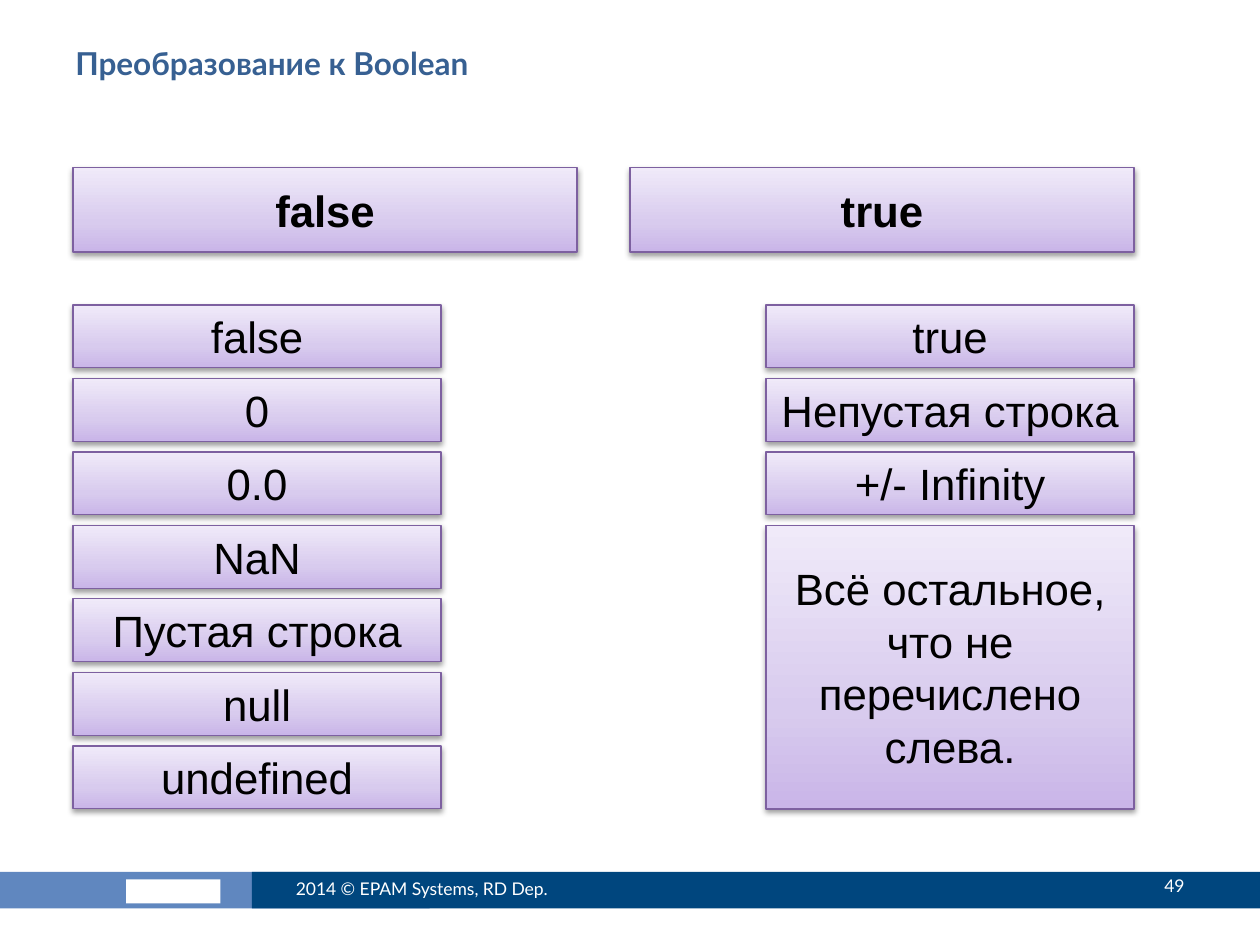
from dataclasses import dataclass

from pptx import Presentation
from pptx.dml.color import RGBColor
from pptx.enum.shapes import MSO_SHAPE
from pptx.enum.text import MSO_ANCHOR, PP_ALIGN
from pptx.oxml import parse_xml
from pptx.oxml.ns import nsdecls, qn
from pptx.util import Inches, Pt


@dataclass(frozen=True)
class Theme:
    title: str = "376092"
    white: str = "FFFFFF"
    ink: str = "000000"
    band_light: str = "6087BF"
    band_dark: str = "00467E"
    box_line: str = "7D60A0"
    box_stops: tuple = ((0, "C9B5E8"), (35, "D8CBEE"), (100, "F0EAF9"))
    heading_font: str = "Lato"
    box_font: str = "Arial"
    title_size: int = 18
    footer_size: int = 10
    box_size: int = 25


THEME = Theme()
LEFT, RIGHT = 0.58, 9
HEADER_TOP, HEADER_W, HEADER_H = 1.33, 4, 0.67
ROWS_TOP, ROW_W, ROW_H = 2.42, 2.92, 0.5
ROW_PITCH = 7 / 12

FALSE_VALUES = ["false", "0", "0.0", "NaN", "Пустая строка", "null", "undefined"]
TRUE_VALUES = ["true", "Непустая строка", "+/- Infinity"]
TRUE_REST = "Всё остальное, что не перечислено слева."


def style_text(tf, text, font, size, color, align, bold=False):
    tf.word_wrap = True
    tf.text = text
    p = tf.paragraphs[0]
    p.alignment = align
    r = p.runs[0]
    r.font.name = font
    r.font.size = Pt(size)
    r.font.bold = bold
    r.font.color.rgb = RGBColor.from_string(color)


def add_label(s, text, x, y, w, h, size, color, anchor=MSO_ANCHOR.MIDDLE,
              align=PP_ALIGN.LEFT, bold=False):
    tf = s.shapes.add_textbox(Inches(x), Inches(y), Inches(w), Inches(h)).text_frame
    style_text(tf, text, THEME.heading_font, size, color, align, bold)
    tf.vertical_anchor = anchor


def add_rect(s, x, y, w, h):
    sp = s.shapes.add_shape(MSO_SHAPE.RECTANGLE, Inches(x), Inches(y), Inches(w), Inches(h))
    sp.shadow.inherit = False
    return sp


def add_band(s, x, y, w, h, color):
    sp = add_rect(s, x, y, w, h)
    sp.fill.solid()
    sp.fill.fore_color.rgb = RGBColor.from_string(color)
    sp.line.fill.background()


def add_gradient(sp):
    stops = "".join(
        f'<a:gs pos="{pos * 1000}"><a:srgbClr val="{color}"/></a:gs>'
        for pos, color in THEME.box_stops
    )
    grad = parse_xml(
        f'<a:gradFill {nsdecls("a")} rotWithShape="1"><a:gsLst>{stops}</a:gsLst>'
        '<a:lin ang="16200000" scaled="0"/></a:gradFill>'
    )
    sp._element.spPr.find(qn("a:prstGeom")).addnext(grad)


def add_shadow(sp):
    sp._element.spPr.find(qn("a:effectLst")).append(parse_xml(
        f'<a:outerShdw {nsdecls("a")} blurRad="40000" dist="20000" dir="5400000" '
        f'rotWithShape="0"><a:srgbClr val="{THEME.ink}"><a:alpha val="38000"/>'
        '</a:srgbClr></a:outerShdw>'
    ))


def add_box(s, text, x, y, w, h, bold=False):
    sp = add_rect(s, x, y, w, h)
    add_gradient(sp)
    add_shadow(sp)
    sp.line.color.rgb = RGBColor.from_string(THEME.box_line)
    sp.line.width = Pt(0.75)
    tf = sp.text_frame
    style_text(tf, text, THEME.box_font, THEME.box_size, THEME.ink, PP_ALIGN.CENTER, bold)
    tf.vertical_anchor = MSO_ANCHOR.MIDDLE


def add_column(s, values, x):
    for i, value in enumerate(values):
        add_box(s, value, x, ROWS_TOP + i * ROW_PITCH, ROW_W, ROW_H)


def add_footer(s):
    add_band(s, -0.02, 6.92, 3.43, 0.29, THEME.band_light)
    add_band(s, 1, 6.98, 0.75, 0.19, THEME.white)
    add_band(s, 2, 6.92, 8, 0.29, THEME.band_dark)
    add_label(s, "2014 © EPAM Systems, RD Dep.", 2.25, 6.85, 2.67, 0.4,
              THEME.footer_size, THEME.white)
    add_label(s, "49", 8.42, 6.83, 1.08, 0.4, THEME.footer_size, THEME.white,
              align=PP_ALIGN.RIGHT)


def main():
    prs = Presentation()
    prs.slide_width, prs.slide_height = Inches(10), Inches(7.5)
    s = prs.slides.add_slide(prs.slide_layouts[6])

    add_footer(s)
    add_label(s, "Преобразование к Boolean", 0.5, 0.3, 9, 0.78, THEME.title_size,
              THEME.title, anchor=MSO_ANCHOR.TOP, bold=True)

    for text, x in (("false", LEFT), ("true", RIGHT - HEADER_W)):
        add_box(s, text, x, HEADER_TOP, HEADER_W, HEADER_H, bold=True)

    true_left = RIGHT - ROW_W
    add_column(s, FALSE_VALUES, LEFT)
    add_column(s, TRUE_VALUES, true_left)

    spare_rows = len(FALSE_VALUES) - len(TRUE_VALUES)
    add_box(s, TRUE_REST, true_left, ROWS_TOP + len(TRUE_VALUES) * ROW_PITCH,
            ROW_W, (spare_rows - 1) * ROW_PITCH + ROW_H)

    prs.save("out.pptx")


if __name__ == "__main__":
    main()
